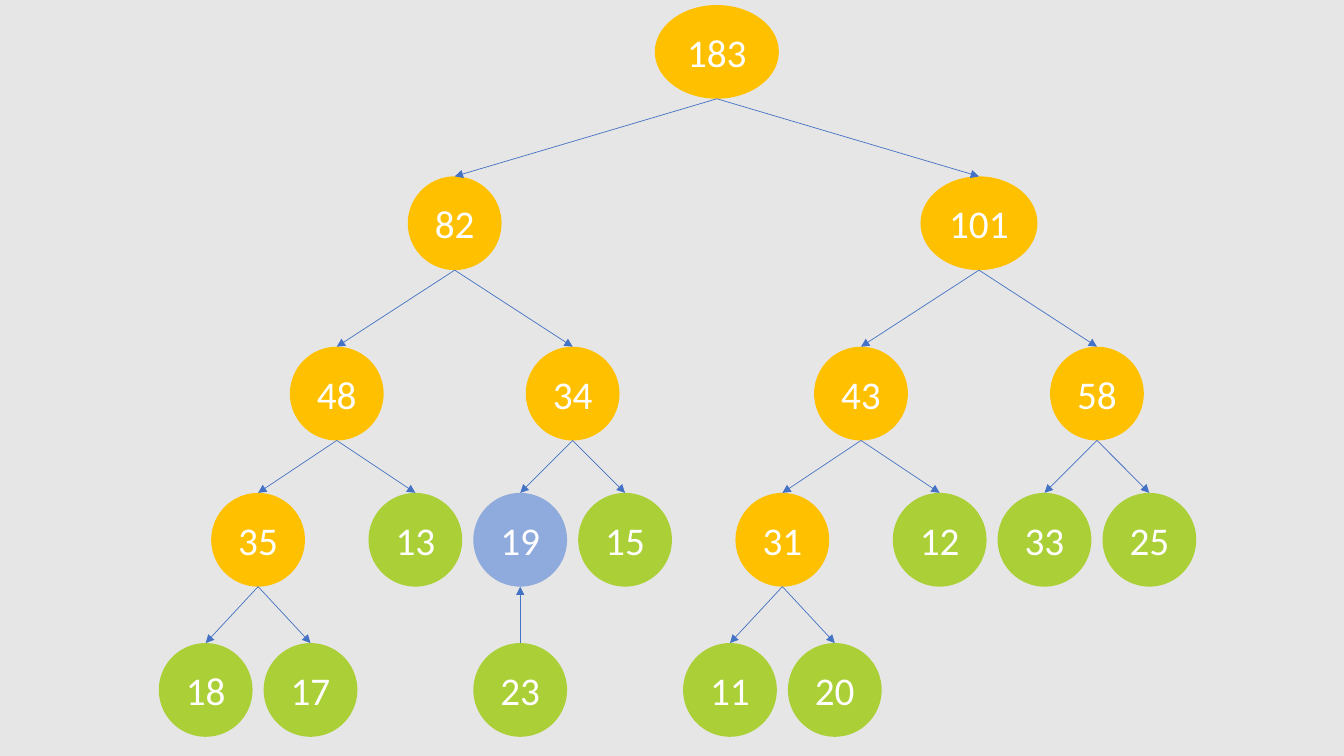
from dataclasses import dataclass
from itertools import count

from lxml.etree import SubElement
from pptx import Presentation
from pptx.dml.color import RGBColor
from pptx.enum.shapes import MSO_CONNECTOR, MSO_SHAPE
from pptx.enum.text import MSO_ANCHOR, PP_ALIGN
from pptx.oxml.ns import qn
from pptx.util import Inches, Pt


@dataclass(frozen=True)
class Theme:
    background: str = "E7E6E6"
    branch: str = "FFC000"
    leaf: str = "ABD037"
    target: str = "8FAADC"
    arrow: str = "4472C4"
    text: str = "FFFFFF"
    font: str = "Calibri"
    size: float = 28
    arrow_width: float = 0.5


THEME = Theme()
SLIDE_WIDTH, SLIDE_HEIGHT = 13.33, 7.5
FIRST_COLUMN, COLUMN_PITCH = 2.04, 1.04
ROW_TOPS = (0.05, 1.75, 3.44, 4.89, 6.38)
DIAMETER = 0.93
WIDE_NODES = {183: 1.23, 101: 1.16}

TARGET, REPLACEMENT = 19, 23
TREE = (
    ((((18, 17), 13), (TARGET, 15))),
    (((11, 20), 12), (33, 25)),
)


def color(code):
    return RGBColor.from_string(code)


def write(shape, text, size=THEME.size, font=THEME.font, fill=THEME.text):
    frame = shape.text_frame
    frame.vertical_anchor = MSO_ANCHOR.MIDDLE
    paragraph = frame.paragraphs[0]
    paragraph.alignment = PP_ALIGN.CENTER
    run = paragraph.add_run()
    run.text = text
    run.font.size = Pt(size)
    run.font.name = font
    run.font.color.rgb = color(fill)


def add_node(slide, value, column, row, fill):
    width = WIDE_NODES.get(value, DIAMETER)
    left = FIRST_COLUMN + column * COLUMN_PITCH - width / 2
    node = slide.shapes.add_shape(
        MSO_SHAPE.OVAL, Inches(left), Inches(ROW_TOPS[row]),
        Inches(width), Inches(DIAMETER))
    node.shadow.inherit = False
    node.fill.solid()
    node.fill.fore_color.rgb = color(fill)
    node.line.fill.background()
    write(node, str(value))


def add_arrow(slide, start, end):
    points = [Inches(length) for length in (*start, *end)]
    arrow = slide.shapes.add_connector(MSO_CONNECTOR.STRAIGHT, *points)
    arrow.line.color.rgb = color(THEME.arrow)
    arrow.line.width = Pt(THEME.arrow_width)
    SubElement(arrow.get_or_add_ln(), qn("a:tailEnd"), type="triangle")
    SubElement(arrow.element.spPr, qn("a:effectLst"))


def top_of(column, row):
    return FIRST_COLUMN + column * COLUMN_PITCH, ROW_TOPS[row]


def bottom_of(column, row):
    x, y = top_of(column, row)
    return x, y + DIAMETER


def add_tree(slide, tree, leaf_columns, row=0):
    if isinstance(tree, int):
        column = next(leaf_columns)
        if tree == TARGET:
            add_node(slide, tree, column, row, THEME.target)
            add_node(slide, REPLACEMENT, column, row + 1, THEME.leaf)
            add_arrow(slide, top_of(column, row + 1), bottom_of(column, row))
        else:
            add_node(slide, tree, column, row, THEME.leaf)
        return tree, column

    children = [add_tree(slide, child, leaf_columns, row + 1) for child in tree]
    total = sum(value for value, _ in children)
    middle = sum(column for _, column in children) / len(children)
    add_node(slide, total, middle, row, THEME.branch)
    for _, column in children:
        add_arrow(slide, bottom_of(middle, row), top_of(column, row + 1))
    return total, middle


def main():
    presentation = Presentation()
    presentation.slide_width = Inches(SLIDE_WIDTH)
    presentation.slide_height = Inches(SLIDE_HEIGHT)
    slide = presentation.slides.add_slide(presentation.slide_layouts[6])
    slide.background.fill.solid()
    slide.background.fill.fore_color.rgb = color(THEME.background)
    add_tree(slide, TREE, count())
    presentation.save("out.pptx")


main()
